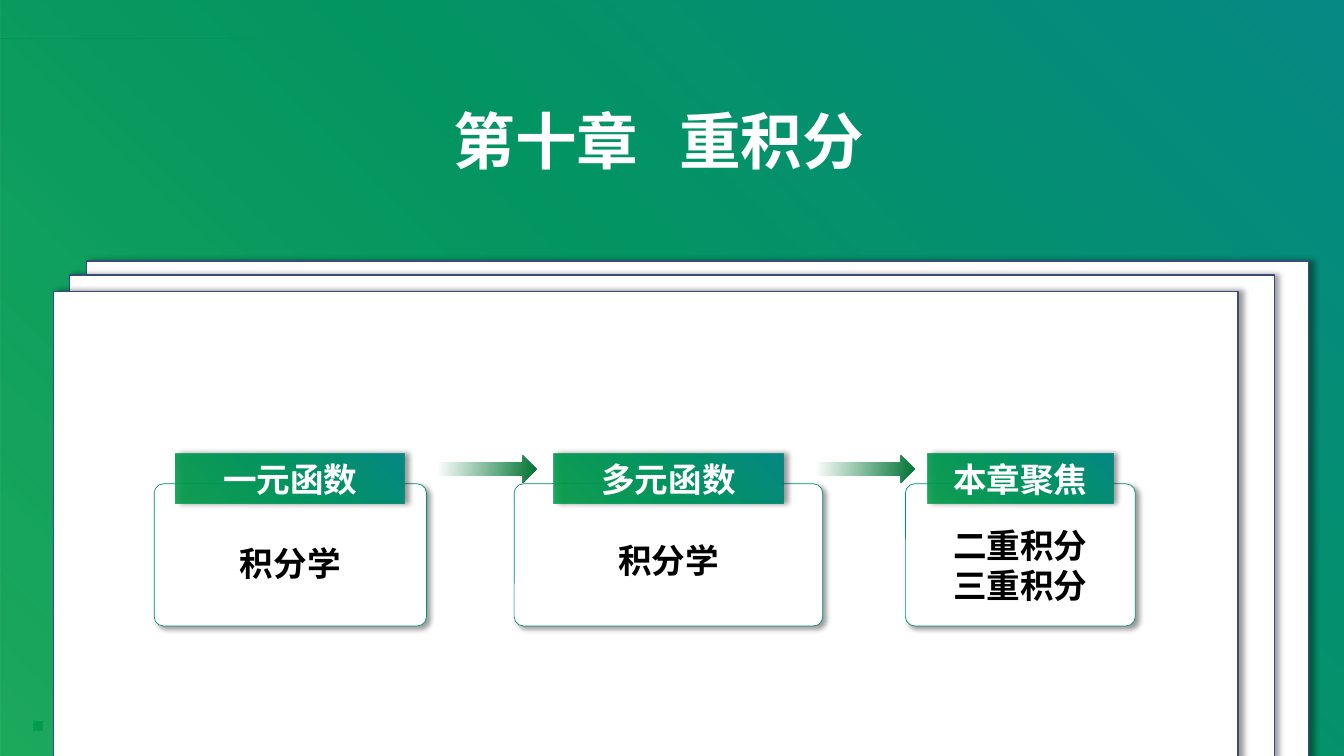
from lxml import etree
from pptx import Presentation
from pptx.dml.color import RGBColor
from pptx.enum.shapes import MSO_CONNECTOR, MSO_SHAPE
from pptx.enum.text import MSO_ANCHOR, PP_ALIGN
from pptx.oxml.ns import qn
from pptx.util import Inches, Pt

RECT = MSO_SHAPE.RECTANGLE
ROUND = MSO_SHAPE.ROUNDED_RECTANGLE
ARROW = MSO_SHAPE.RIGHT_ARROW
LINE = MSO_CONNECTOR.STRAIGHT
MIDDLE = MSO_ANCHOR.MIDDLE
LEFT, CENTER = PP_ALIGN.LEFT, PP_ALIGN.CENTER
FONT = "Noto Sans CJK SC"
HEX = {
    "white": "FFFFFF", "black": "000000", "green": "009E47",
    "mid": "039463", "teal": "068885", "edge": "05907A",
    "navy": "374B7F", "rule": "04926A", "dark": "007434",
}
GLOW = [(0, "green", 88), (55, "mid", 100), (100, "teal", 100)]
DOT = [(0, "green", 73), (61, "mid", 100), (100, "teal", 100)]
FADE = [(4, "white", 100), (100, "dark", 100)]


def color(name):
    return RGBColor.from_string(HEX[name])


def node(parent, tag, **attrs):
    return etree.SubElement(parent, qn("a:" + tag),
                            {key: str(val) for key, val in attrs.items()})


def paint(shape, stops, angle=None):
    shape.fill.gradient()
    grad = shape._element.spPr.find(qn("a:gradFill"))
    for child in list(grad):
        grad.remove(child)
    grad.set("rotWithShape", "1")
    items = node(grad, "gsLst")
    for pos, name, alpha in stops:
        stop = node(items, "gs", pos=pos * 1000)
        tint = node(stop, "srgbClr", val=HEX[name])
        if alpha < 100:
            node(tint, "alpha", val=alpha * 1000)
    if angle is None:
        way = node(grad, "path", path="circle")
        node(way, "fillToRect", t=100000, r=100000)
    else:
        node(grad, "lin", ang=angle * 60000, scaled=0)


def shade(shape, angle):
    effect = shape._element.spPr.find(qn("a:effectLst"))
    outer = node(effect, "outerShdw", blurRad=Pt(4), dist=Pt(3),
                 dir=angle * 60000, algn="l", rotWithShape=0)
    node(node(outer, "srgbClr", val=HEX["black"]), "alpha", val=40000)


def block(shapes, kind, box, fill, edge=None, width=1):
    shape = shapes.add_shape(kind, *map(Inches, box))
    if isinstance(fill, str):
        shape.fill.solid()
        shape.fill.fore_color.rgb = color(fill)
    else:
        paint(shape, fill, 5 if kind == ARROW else None)
    if edge:
        shape.line.color.rgb = color(edge)
        shape.line.width = Pt(width)
    else:
        shape.line.fill.background()
    shape.shadow.inherit = False
    return shape


def write(shape, lines, size, name, align=CENTER, lead=None, tab=None):
    frame = shape.text_frame
    frame.word_wrap = True
    frame.vertical_anchor = MIDDLE
    for index, line in enumerate(lines):
        para = frame.add_paragraph() if index else frame.paragraphs[0]
        para.alignment = align
        if lead:
            para.line_spacing = Pt(lead)
        if tab:
            stops = node(para._p.get_or_add_pPr(), "tabLst")
            node(stops, "tab", pos=Inches(tab), algn="l")
        run = para.add_run()
        run.text = line
        run.font.size = Pt(size)
        run.font.bold = True
        run.font.name = FONT
        run.font.color.rgb = color(name)
        node(run._r.get_or_add_rPr(), "ea", typeface=FONT)


def back(shapes, box):
    left, top, wide, high = box
    block(shapes, RECT, (left + 0.33, top + 7.16, 0.09, 0.09), DOT)
    rule = shapes.add_connector(LINE, Inches(left), Inches(top + 0.38),
                                Inches(left + 10.87), Inches(top + 0.38))
    rule.line.color.rgb = color("rule")
    rule.line.width = Pt(0.5)
    node(rule._element.spPr, "effectLst")
    block(shapes, RECT, box, GLOW)


def sheets(shapes, foot):
    for left, top, wide in [(0.86, 2.59, 12.12), (0.69, 2.73, 11.95),
                            (0.53, 2.89, 11.75)]:
        sheet = block(shapes, RECT, (left, top, wide, foot - top),
                      "white", "navy")
        shade(sheet, 0)


def card(shapes, box, head, span, lines, note):
    left, top, wide, high = box
    mid = left + wide / 2
    group = shapes.add_group_shape().shapes
    panel = block(group, ROUND, box, "white", "edge", 0.5)
    panel.adjustments[0] = 0.065
    shade(panel, 45)
    label = block(group, RECT, (mid - span / 2, top - 0.3, span, 0.5), GLOW)
    shade(label, 0)
    write(label, [head], 24, "white")
    width, drop, tall = note
    area = (mid - width / 2, top + drop, width, tall)
    text = group.add_textbox(*map(Inches, area))
    write(text, lines, 24, "black", lead=28.8)


def title(shapes, box):
    text = shapes.add_textbox(*map(Inches, box))
    write(text, ["第十章\t重积分"], 44, "white", LEFT, tab=2.24)


def main():
    deck = Presentation()
    deck.slide_width = Inches(13.33)
    deck.slide_height = Inches(7.5)
    shapes = deck.slides.add_slide(deck.slide_layouts[6]).shapes
    back(shapes, (0, 0, 13.33, 7.52))
    sheets(shapes, 7.52)
    cards = [
        (1.53, 2.7, "一元函数", 2.27, ["积分学"], (2.61, 0.54, 0.5)),
        (5.1, 3.06, "多元函数", 2.28, ["积分学"], (1.62, 0.51, 0.5)),
        (8.98, 2.28, "本章聚焦", 1.84, ["二重积分", "三重积分"],
         (1.56, 0.35, 0.91)),
    ]
    for left, wide, *rest in cards:
        card(shapes, (left, 4.8, wide, 1.41), *rest)
    title(shapes, (4.4, 0.97, 4.54, 0.84))
    for left in (4.3, 8.05):
        block(shapes, ARROW, (left, 4.52, 1.02, 0.27), FADE)
    deck.save("out.pptx")


if __name__ == "__main__":
    main()
